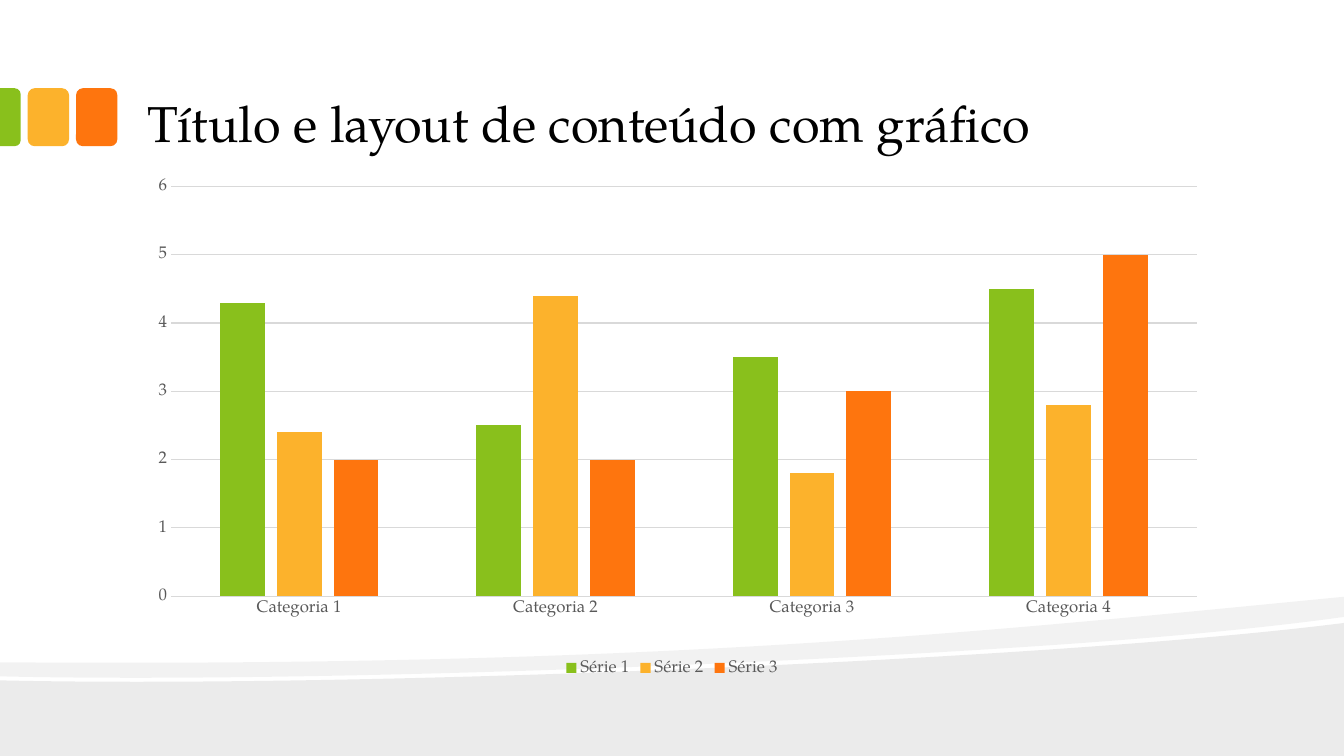
import lxml.etree
import pptx
import pptx.chart.data
import pptx.dml.color
import pptx.enum.chart
import pptx.enum.shapes
import pptx.enum.text
import pptx.oxml
import pptx.oxml.ns
import pptx.util

THEME = {
    "font": "TeX Gyre Pagella",
    "title_size": 36,
    "chart_size": 12,
    "black": "000000",
    "grey": "595959",
    "rule": "D9D9D9",
    "green": "89C01C",
    "yellow": "FCB22C",
    "orange": "FE750E",
}
COLUMNS, ROWS = 160, 90
CELL = pptx.util.Inches(7.5) / ROWS


def cells(*counts):
    return [pptx.util.Emu(round(count * CELL)) for count in counts]


def write_text(frame, text, size, color, font=THEME["font"], anchor=pptx.enum.text.MSO_ANCHOR.BOTTOM):
    frame.word_wrap = True
    frame.vertical_anchor = anchor
    frame.margin_left = frame.margin_right = pptx.util.Inches(0.13)
    frame.margin_top = frame.margin_bottom = pptx.util.Inches(0.07)
    run = frame.paragraphs[0].add_run()
    run.text = text
    run.font.name = font
    run.font.size = pptx.util.Pt(size)
    run.font.color.rgb = pptx.dml.color.RGBColor.from_string(color)


presentation = pptx.Presentation()
presentation.slide_width, presentation.slide_height = cells(COLUMNS, ROWS)
slide = presentation.slides.add_slide(presentation.slide_layouts[6])

waves = [
    (8, [
        [(160, 90)],
        [(0, 90)],
        [(0, 81)],
        [(42.24, 81.96), (125.04, 78.6), (160, 74.16)],
    ]),
    (5, [
        [(160, 71.04)],
        [(160, 73.44)],
        [(150.6, 74.76), (137.88, 75.96), (123.48, 76.92)],
        [(83.76, 79.56), (30.96, 81.24), (0, 80.52)],
        [(0, 78.84)],
        [(78.24, 79.44), (116.52, 75.24), (160, 71.04)],
    ]),
]
for opacity, segments in waves:
    start, *points = [point for segment in segments for point in segment]
    builder = slide.shapes.build_freeform(*cells(*start), scale=1.0)
    builder.add_line_segments([cells(*point) for point in points], close=True)
    wave = builder.convert_to_shape()
    lines = iter(wave._element.findall(".//" + pptx.oxml.ns.qn("a:lnTo")))
    for segment in segments[1:]:
        segment_lines = [next(lines) for point in segment]
        if len(segment) == 3:
            curve = lxml.etree.Element(pptx.oxml.ns.qn("a:cubicBezTo"))
            segment_lines[0].addprevious(curve)
            for line in segment_lines:
                curve.append(line[0])
                line.getparent().remove(line)
    wave.shadow.inherit = False
    wave.line.fill.background()
    wave.fill.solid()
    wave.fill.fore_color.rgb = pptx.dml.color.RGBColor.from_string(THEME["black"])
    fill_color = wave._element.spPr.find(".//" + pptx.oxml.ns.qn("a:srgbClr"))
    alpha = lxml.etree.SubElement(fill_color, pptx.oxml.ns.qn("a:alpha"))
    alpha.set("val", str(opacity * 1000))

rounded = pptx.enum.shapes.MSO_SHAPE.ROUNDED_RECTANGLE
half_rounded = pptx.enum.shapes.MSO_SHAPE.ROUND_2_SAME_RECTANGLE
tabs = [
    ("orange", rounded, (9.05, 10.5, 4.92, 6.9), 0, 0.167),
    ("yellow", rounded, (3.3, 10.5, 4.92, 6.9), 0, 0.167),
    ("green", half_rounded, (-2.22, 12.72, 6.9, 2.46), 90, 0.29),
]
for color, kind, box, rotation, corner in tabs:
    tab = slide.shapes.add_shape(kind, *cells(*box))
    tab.adjustments[0] = corner
    tab.rotation = rotation
    tab.shadow.inherit = False
    tab.line.fill.background()
    tab.fill.solid()
    tab.fill.fore_color.rgb = pptx.dml.color.RGBColor.from_string(THEME[color])

title = slide.shapes.add_textbox(*cells(16, 2, 128, 17))
write_text(title.text_frame, "Título e layout de conteúdo com gráfico",
           size=THEME["title_size"], color=THEME["black"])

series_rows = [
    ("Série 1", (4.3, 2.5, 3.5, 4.5), "green"),
    ("Série 2", (2.4, 4.4, 1.8, 2.8), "yellow"),
    ("Série 3", (2, 2, 3, 5), "orange"),
]
chart_data = pptx.chart.data.CategoryChartData()
chart_data.categories = [f"Categoria {number}" for number in range(1, 5)]
for name, values, color in series_rows:
    chart_data.add_series(name, values)
chart = slide.shapes.add_chart(
    pptx.enum.chart.XL_CHART_TYPE.COLUMN_CLUSTERED, *cells(16, 21, 128, 60), chart_data
).chart
chart.has_title = False
chart.font.name = THEME["font"]
chart.font.size = pptx.util.Pt(THEME["chart_size"])
chart.font.color.rgb = pptx.dml.color.RGBColor.from_string(THEME["grey"])
chart.has_legend = True
chart.legend.position = pptx.enum.chart.XL_LEGEND_POSITION.BOTTOM
chart.legend.include_in_layout = False

plot = chart.plots[0]
plot.gap_width = 219
plot.overlap = -27
plot.vary_by_categories = False
for series, (name, values, color) in zip(plot.series, series_rows):
    series.invert_if_negative = False
    series.format.fill.solid()
    series.format.fill.fore_color.rgb = pptx.dml.color.RGBColor.from_string(THEME[color])

value_axis = chart.value_axis
value_axis.minimum_scale, value_axis.maximum_scale, value_axis.major_unit = 0, 6, 1
value_axis.has_major_gridlines = True
value_axis.format.line.fill.background()
for axis in (chart.category_axis, value_axis):
    axis.major_tick_mark = axis.minor_tick_mark = pptx.enum.chart.XL_TICK_MARK.NONE
for rule in (chart.category_axis.format.line, value_axis.major_gridlines.format.line):
    rule.width = pptx.util.Pt(0.75)
    rule.color.rgb = pptx.dml.color.RGBColor.from_string(THEME["rule"])

plot_area = chart._chartSpace.chart.plotArea
for old_layout in plot_area.findall(pptx.oxml.ns.qn("c:layout")):
    plot_area.remove(old_layout)
plot_area.insert(0, pptx.oxml.parse_xml(
    f'<c:layout {pptx.oxml.ns.nsdecls("c")}><c:manualLayout><c:layoutTarget val="inner"/>'
    '<c:xMode val="edge"/><c:yMode val="edge"/><c:x val="0.034"/><c:y val="0.02"/>'
    '<c:w val="0.954"/><c:h val="0.813"/></c:manualLayout></c:layout>'
))

presentation.save("out.pptx")
